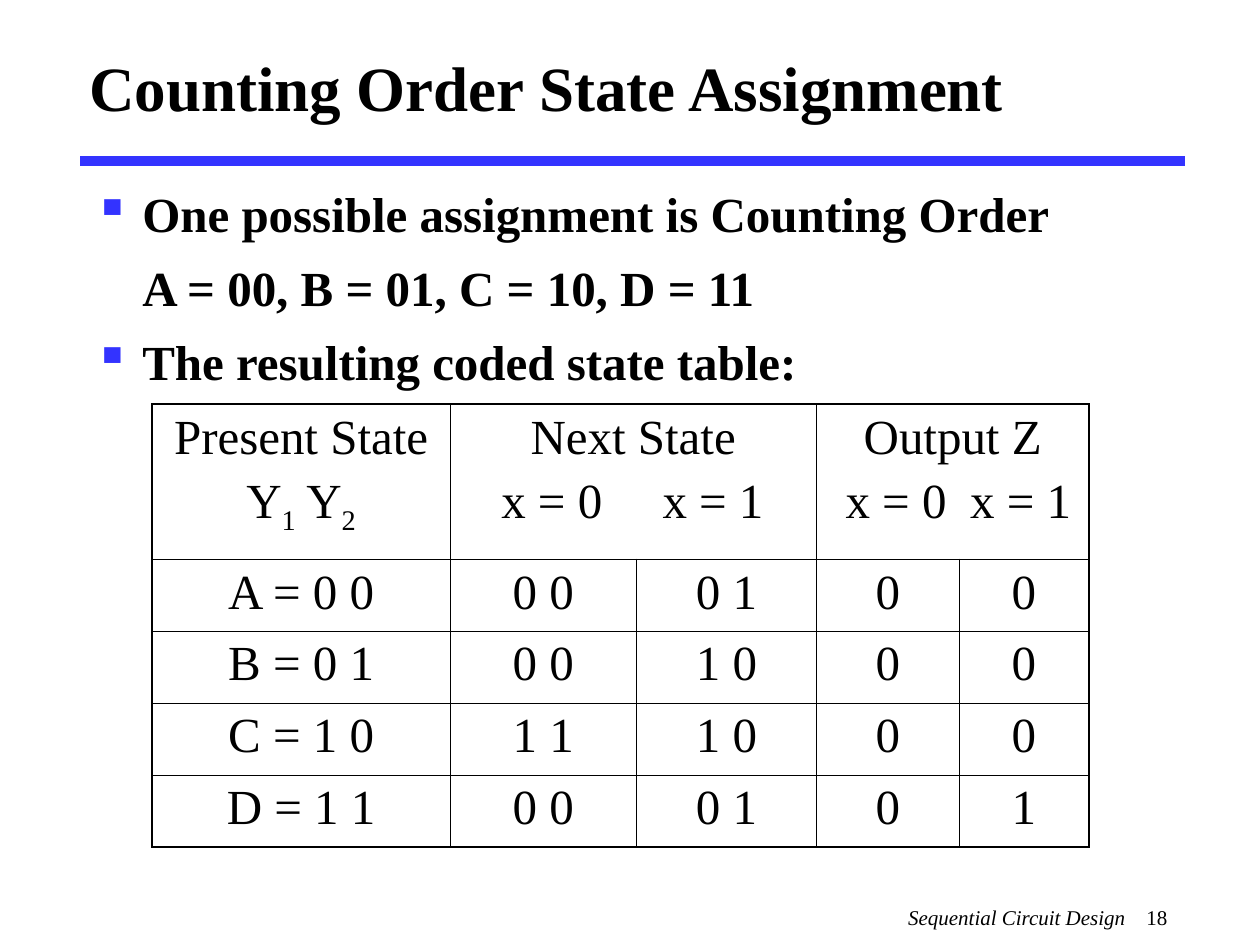
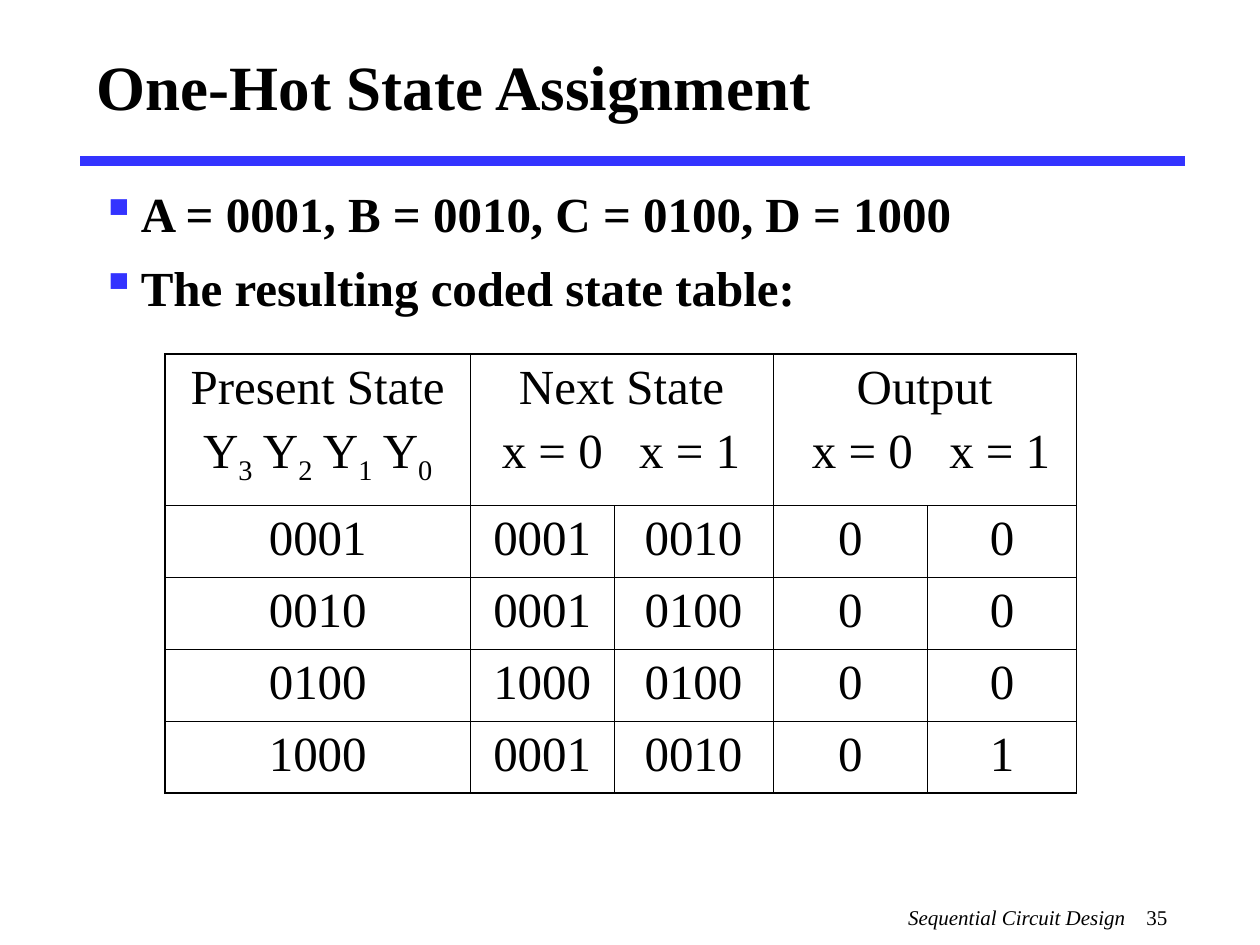
import dataclasses

import pptx
import pptx.dml.color
import pptx.enum.shapes
import pptx.enum.text
import pptx.oxml.ns
import pptx.util
from lxml import etree

Cm = pptx.util.Cm
Pt = pptx.util.Pt
RGB = pptx.dml.color.RGBColor
CENTER = pptx.enum.text.PP_ALIGN.CENTER


@dataclasses.dataclass(frozen=True)
class Theme:
    font: str = "Times New Roman"
    text: str = "000000"
    accent: str = "3333FF"
    title_size: float = 36
    body_size: float = 28
    footer_size: float = 12
    body_gap: float = 8.6
    header_gap: float = 5.6
    rule_width: float = 6
    outer_border: float = 1.08
    inner_border: float = 0.45


THEME = Theme()


def add_element(parent, name, **attributes):
    return etree.SubElement(parent, pptx.oxml.ns.qn(name), attributes)


def add_run(para, text, size, bold=False, italic=False, subscript=False):
    span = para.add_run()
    span.text = text
    font = span.font
    font.name = THEME.font
    font.size = Pt(size)
    font.bold = bold
    font.italic = italic
    font.color.rgb = RGB.from_string(THEME.text)
    if subscript:
        span._r.get_or_add_rPr().set("baseline", "-25000")


def add_tabs(para, stops, align):
    tabs = add_element(para._p.get_or_add_pPr(), "a:tabLst")
    for stop in stops:
        add_element(tabs, "a:tab", pos=str(Cm(stop)), algn=align)


def add_text_frame(page, left, top, width, height):
    box = page.shapes.add_textbox(Cm(left), Cm(top), Cm(width), Cm(height))
    box.text_frame.word_wrap = True
    return box.text_frame


def next_paragraph(frame, index, gap):
    if index == 0:
        return frame.paragraphs[0]
    para = frame.add_paragraph()
    para.space_before = Pt(gap)
    return para


def add_title(page, text, left, top, width, height):
    frame = add_text_frame(page, left, top, width, height)
    frame.vertical_anchor = pptx.enum.text.MSO_ANCHOR.MIDDLE
    add_run(frame.paragraphs[0], text, THEME.title_size, bold=True)


def add_rule(page):
    rule = page.shapes.add_connector(
        pptx.enum.shapes.MSO_CONNECTOR.STRAIGHT,
        Cm(1.62), Cm(3.25), Cm(23.88), Cm(3.25))
    rule.line.color.rgb = RGB.from_string(THEME.accent)
    rule.line.width = Pt(THEME.rule_width)
    add_element(rule._element.spPr, "a:effectLst")


def add_footer(page, number):
    frame = add_text_frame(page, 18.06, 18.11, 5.92, 0.94)
    para = frame.paragraphs[0]
    add_tabs(para, [4.8], "l")
    add_run(para, "Sequential Circuit Design\t", THEME.footer_size, italic=True)
    add_run(para, number, THEME.footer_size)


def add_bullets(page, lines, left, width, indent):
    frame = add_text_frame(page, left, 3.58, width, 4.7)
    for index, (text, has_bullet) in enumerate(lines):
        para = next_paragraph(frame, index, THEME.body_gap)
        properties = para._p.get_or_add_pPr()
        properties.set("marL", str(Cm(indent)))
        properties.set("indent", str(-Cm(indent) if has_bullet else 0))
        if has_bullet:
            colour = add_element(properties, "a:buClr")
            add_element(colour, "a:srgbClr", val=THEME.accent)
            add_element(properties, "a:buChar", char="▪")
        add_run(para, text, THEME.body_size, bold=True)


def set_borders(cell, outer_sides):
    properties = cell._tc.get_or_add_tcPr()
    for side in "LRTB":
        width = THEME.outer_border if side in outer_sides else THEME.inner_border
        line = add_element(properties, f"a:ln{side}", w=str(Pt(width)))
        fill = add_element(line, "a:solidFill")
        add_element(fill, "a:srgbClr", val=THEME.text)
    cell.fill.background()


def write_centred(cell, text):
    para = cell.text_frame.paragraphs[0]
    para.alignment = CENTER
    add_run(para, text, THEME.body_size)


def write_state_variables(cell, digits):
    para = next_paragraph(cell.text_frame, 1, THEME.header_gap)
    para.alignment = CENTER
    for index, digit in enumerate(digits):
        add_run(para, " Y" if index else "Y", THEME.body_size)
        add_run(para, digit, THEME.body_size, subscript=True)


def write_input_values(cell, stops):
    para = next_paragraph(cell.text_frame, 1, THEME.header_gap)
    add_tabs(para, stops, "ctr")
    add_run(para, "\tx = 0\tx = 1", THEME.body_size)


def add_state_table(page, left, top, widths, header_height, digits, groups, states):
    row_height = 1.45
    row_count, column_count = len(states) + 1, len(widths)
    table = page.shapes.add_table(
        row_count, column_count, Cm(left), Cm(top), Cm(sum(widths)),
        Cm(header_height + row_height * len(states))).table
    table.first_row = table.horz_banding = False
    for column, width in zip(table.columns, widths):
        column.width = Cm(width)
    for index, row in enumerate(table.rows):
        row.height = Cm(row_height if index else header_height)

    write_centred(table.cell(0, 0), "Present State")
    write_state_variables(table.cell(0, 0), digits)
    for column, (heading, stops) in zip((1, 3), groups):
        cell = table.cell(0, column)
        cell.merge(table.cell(0, column + 1))
        write_centred(cell, heading)
        write_input_values(cell, stops)
    for row, values in enumerate(states, 1):
        for column, value in enumerate(values):
            write_centred(table.cell(row, column), value)

    for row in range(row_count):
        for column in range(column_count):
            cell = table.cell(row, column)
            if cell.is_spanned:
                cell.fill.background()
                continue
            span_width = cell.span_width if cell.is_merge_origin else 1
            edges = {"L": column == 0, "R": column + span_width == column_count,
                     "T": row == 0, "B": row == row_count - 1}
            set_borders(cell, [side for side, outer in edges.items() if outer])


def add_page(deck, number):
    page = deck.slides.add_slide(deck.slide_layouts[6])
    add_rule(page)
    add_footer(page, number)
    return page


def add_counting_order(deck):
    page = add_page(deck, "18")
    add_bullets(page, [
        ("One possible assignment is Counting Order", True),
        ("A = 00, B = 01, C = 10, D = 11", False),
        ("The resulting coded state table:", True),
    ], left=1.65, width=22.12, indent=0.97)
    add_title(page, "Counting Order State Assignment", 1.55, 0.58, 22.28, 2.34)
    add_state_table(
        page, 3.07, 8.15, [6, 3.76, 3.63, 2.87, 2.62], 3.12, "12",
        [("Next State", [1.8, 5.05]), ("Output Z", [1.35, 3.86])],
        [("A = 0 0", "0 0", "0 1", "0", "0"),
         ("B = 0 1", "0 0", "1 0", "0", "0"),
         ("C = 1 0", "1 1", "1 0", "0", "0"),
         ("D = 1 1", "0 0", "0 1", "0", "1")])


def add_one_hot(deck):
    page = add_page(deck, "35")
    add_bullets(page, [
        ("A = 0001, B = 0010, C = 0100, D = 1000", True),
        ("The resulting coded state table:", True),
    ], left=1.78, width=21.59, indent=0.81)
    add_title(page, "One-Hot State Assignment", 1.7, 0.3, 23.7, 2.84)
    add_state_table(
        page, 3.33, 7.14, [6.15, 2.9, 3.2, 3.12, 3], 3.05, "3210",
        [("Next State", [1.4, 4.17]), ("Output", [1.55, 4.32])],
        [("0001", "0001", "0010", "0", "0"),
         ("0010", "0001", "0100", "0", "0"),
         ("0100", "1000", "0100", "0", "0"),
         ("1000", "0001", "0010", "0", "1")])


def main():
    deck = pptx.Presentation()
    deck.slide_width = Cm(25.4)
    deck.slide_height = Cm(19.05)
    add_counting_order(deck)
    add_one_hot(deck)
    deck.save("out.pptx")


if __name__ == "__main__":
    main()
